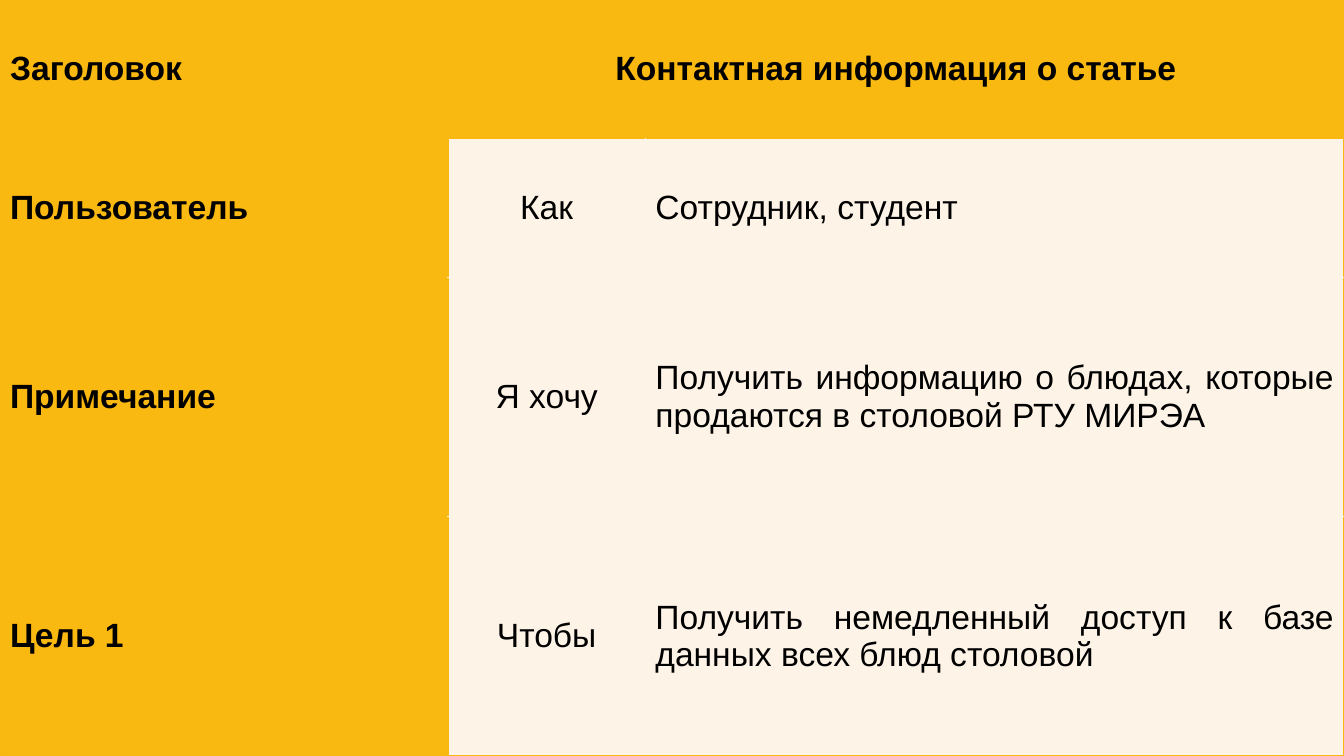
from lxml import etree
from pptx import Presentation
from pptx.dml.color import RGBColor
from pptx.enum import text
from pptx.oxml import ns
from pptx.util import Pt

# Content
ROWS = [
    ("Заголовок", "Контактная информация о статье", ""),
    ("Пользователь", "Как", "Сотрудник, студент"),
    ("Примечание", "Я хочу",
     "Получить информацию о блюдах, которые продаются в столовой РТУ МИРЭА"),
    ("Цель 1", "Чтобы",
     "Получить немедленный доступ к базе данных всех блюд столовой"),
]
COL_WIDTHS = (320, 141, 499)
ROW_HEIGHTS = (99, 99, 171, 171)
ALIGNS = (text.PP_ALIGN.LEFT, text.PP_ALIGN.CENTER, text.PP_ALIGN.JUSTIFY)

# Colours
AMBER = RGBColor(0xFA, 0xB9, 0x10)
AMBER_LINE = RGBColor(0xF9, 0xB8, 0x10)
CREAM = RGBColor(0xFE, 0xF3, 0xE7)
BLACK = RGBColor(0, 0, 0)

# Row and column step to the neighbour on each side
SIDES = {"a:lnL": (0, -1), "a:lnR": (0, 1), "a:lnT": (-1, 0), "a:lnB": (1, 0)}


def is_body(row, col):
    return 0 < row < len(ROW_HEIGHTS) and 0 < col < len(COL_WIDTHS)


def add_borders(cell, row, col):
    """Cream lines between body cells, amber lines everywhere else."""
    tc_pr = cell._tc.get_or_add_tcPr()
    for i, (tag, (dr, dc)) in enumerate(SIDES.items()):
        inner = is_body(row, col) and is_body(row + dr, col + dc)
        ln = etree.Element(ns.qn(tag), w=str(Pt(1)))
        fill = etree.SubElement(ln, ns.qn("a:solidFill"))
        etree.SubElement(fill, ns.qn("a:srgbClr"),
                         val=str(CREAM if inner else AMBER_LINE))
        tc_pr.insert(i, ln)


prs = Presentation()
prs.slide_width, prs.slide_height = Pt(960), Pt(540)
s = prs.slides.add_slide(prs.slide_layouts[6])

# Table grid
table = s.shapes.add_table(len(ROW_HEIGHTS), len(COL_WIDTHS), Pt(0), Pt(0),
                           Pt(sum(COL_WIDTHS)), Pt(sum(ROW_HEIGHTS))).table
for column, width in zip(table.columns, COL_WIDTHS):
    column.width = Pt(width)
for table_row, height in zip(table.rows, ROW_HEIGHTS):
    table_row.height = Pt(height)
table.cell(0, 1).merge(table.cell(0, 2))

# Cells
for row, labels in enumerate(ROWS):
    for col, label in enumerate(labels):
        cell = table.cell(row, col)
        body = is_body(row, col)
        cell.fill.solid()
        cell.fill.fore_color.rgb = CREAM if body else AMBER
        add_borders(cell, row, col)
        cell.vertical_anchor = text.MSO_ANCHOR.MIDDLE
        if cell.is_spanned:
            continue
        cell.text_frame.text = label
        p = cell.text_frame.paragraphs[0]
        p.alignment = ALIGNS[col]
        font = p.runs[0].font
        font.name, font.size, font.bold = "Arial", Pt(24), not body
        font.color.rgb = BLACK

prs.save("out.pptx")
